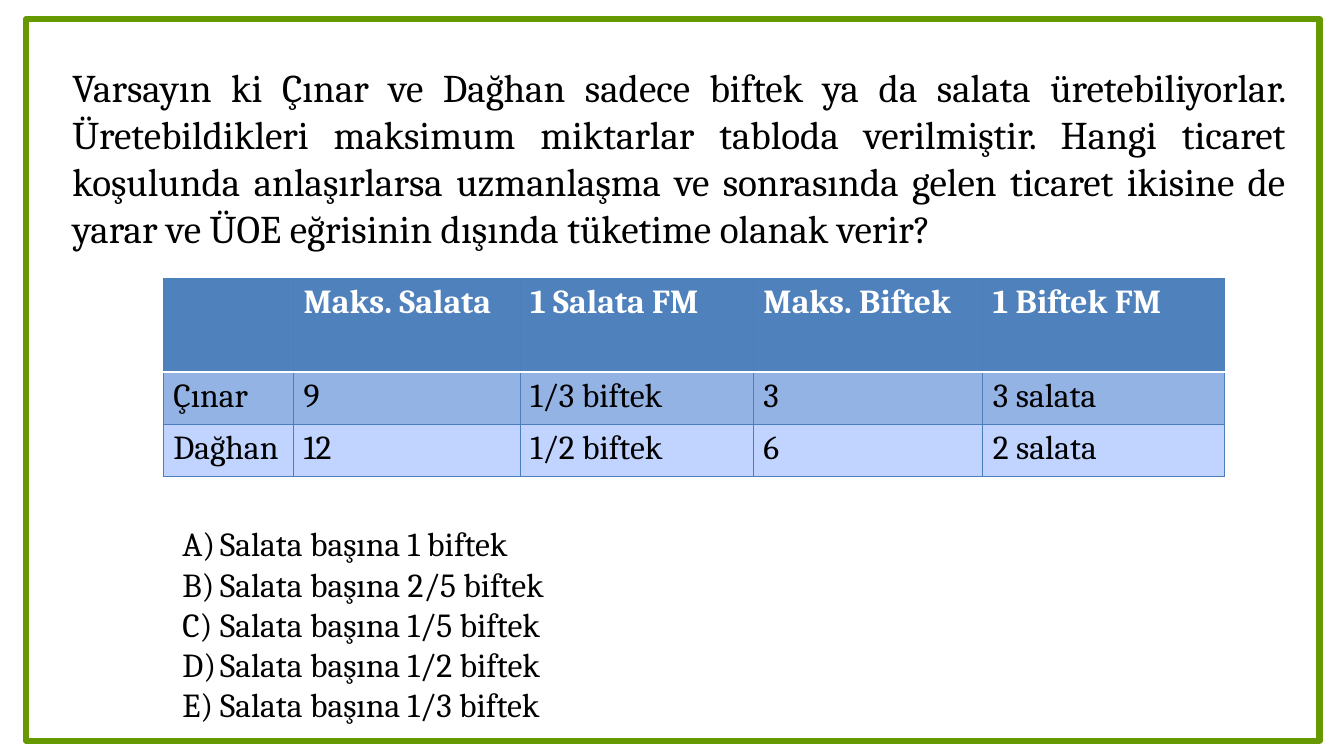
from lxml.etree import SubElement
from pptx import Presentation
from pptx.dml.color import RGBColor
from pptx.enum.shapes import MSO_SHAPE as Shape
from pptx.enum.text import MSO_AUTO_SIZE as AutoSize, PP_ALIGN as Align
from pptx.oxml.ns import qn
from pptx.util import Pt

GREEN = RGBColor(0x66, 0x99, 0x00)
BLUE = RGBColor(0x4F, 0x81, 0xBD)
MID_BLUE = RGBColor(0x93, 0xB3, 0xE5)
PALE_BLUE = RGBColor(0xC0, 0xD4, 0xFF)
BORDER_BLUE = RGBColor(0x4B, 0x7E, 0xBC)
WHITE = RGBColor(0xFF, 0xFF, 0xFF)
BLACK = RGBColor(0, 0, 0)


def write(paragraph, text, size=24, color=BLACK, bold=False, align=Align.LEFT):
    paragraph.alignment = align
    run = paragraph.add_run()
    run.text = text
    run.font.name = "Cambria"
    run.font.size = Pt(size)
    run.font.bold = bold
    run.font.color.rgb = color


def add_border(cell, side, color, width):
    line = SubElement(cell._tc.get_or_add_tcPr(), qn(f"a:ln{side}"), w=str(Pt(width)))
    fill = SubElement(line, qn("a:solidFill"))
    SubElement(fill, qn("a:srgbClr"), val=str(color))


prs = Presentation()
prs.slide_width, prs.slide_height = Pt(960), Pt(540)
slide = prs.slides.add_slide(prs.slide_layouts[6])
shapes = slide.shapes

frame = shapes.add_shape(Shape.RECTANGLE, Pt(18.72), Pt(13.68), Pt(923.76), Pt(515.52))
frame.shadow.inherit = False
frame.fill.background()
frame.line.color.rgb = GREEN
frame.line.width = Pt(4.5)

production = [
    ["", "Maks. Salata", "1 Salata FM", "Maks. Biftek", "1 Biftek FM"],
    ["Çınar", "9", "1/3 biftek", "3", "3 salata"],
    ["Dağhan", "12", "1/2 biftek", "6", "2 salata"],
]
column_widths = [93, 162, 166.5, 164, 172.5]
row_heights = [67, 37.5, 37.5]
row_fills = [BLUE, MID_BLUE, PALE_BLUE]

table = shapes.add_table(3, 5, Pt(116.64), Pt(198.72), Pt(sum(column_widths)), Pt(sum(row_heights))).table
for column, width in zip(table.columns, column_widths):
    column.width = Pt(width)
for r, values in enumerate(production):
    table.rows[r].height = Pt(row_heights[r])
    header = r == 0
    for c, value in enumerate(values):
        cell = table.cell(r, c)
        for side in "LRTB":
            under_header = (r, side) in [(0, "B"), (1, "T")]
            add_border(cell, side, WHITE if under_header else BORDER_BLUE, 2 if under_header else 0.75)
        cell.fill.solid()
        cell.fill.fore_color.rgb = row_fills[r]
        if value:
            write(cell.text_frame.paragraphs[0], value, color=WHITE if header else BLACK, bold=header)

question = shapes.add_textbox(Pt(44.64), Pt(41.76), Pt(880.56), Pt(143.28)).text_frame
question.word_wrap = True
question.auto_size = AutoSize.SHAPE_TO_FIT_TEXT
write(
    question.paragraphs[0],
    "Varsayın ki Çınar ve Dağhan sadece biftek ya da salata üretebiliyorlar. "
    "Üretebildikleri maksimum miktarlar tabloda verilmiştir. Hangi ticaret koşulunda "
    "anlaşırlarsa uzmanlaşma ve sonrasında gelen ticaret ikisine de yarar ve ÜOE "
    "eğrisinin dışında tüketime olanak verir?",
    size=28,
    align=Align.JUSTIFY,
)

choices = shapes.add_textbox(Pt(123.12), Pt(370.08), Pt(452.16), Pt(152.64)).text_frame
choices.word_wrap = True
choices.auto_size = AutoSize.SHAPE_TO_FIT_TEXT
for i, amount in enumerate(["1", "2/5", "1/5", "1/2", "1/3"]):
    choice = choices.add_paragraph() if i else choices.paragraphs[0]
    write(choice, f"Salata başına {amount} biftek")
    properties = choice._p.get_or_add_pPr()
    properties.set("marL", str(Pt(27)))
    properties.set("indent", str(Pt(-27)))
    SubElement(properties, qn("a:buFont"), typeface="+mj-lt")
    SubElement(properties, qn("a:buAutoNum"), type="alphaUcParenR")

prs.save("out.pptx")
